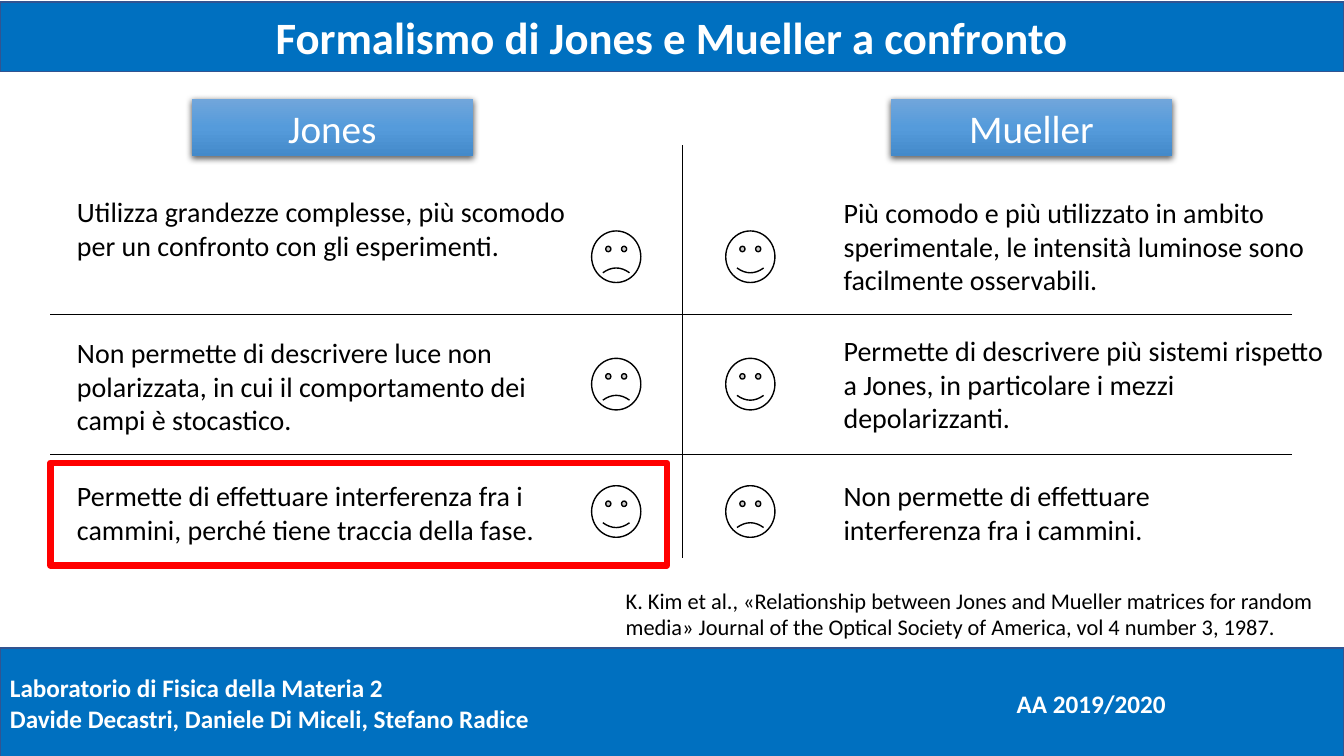
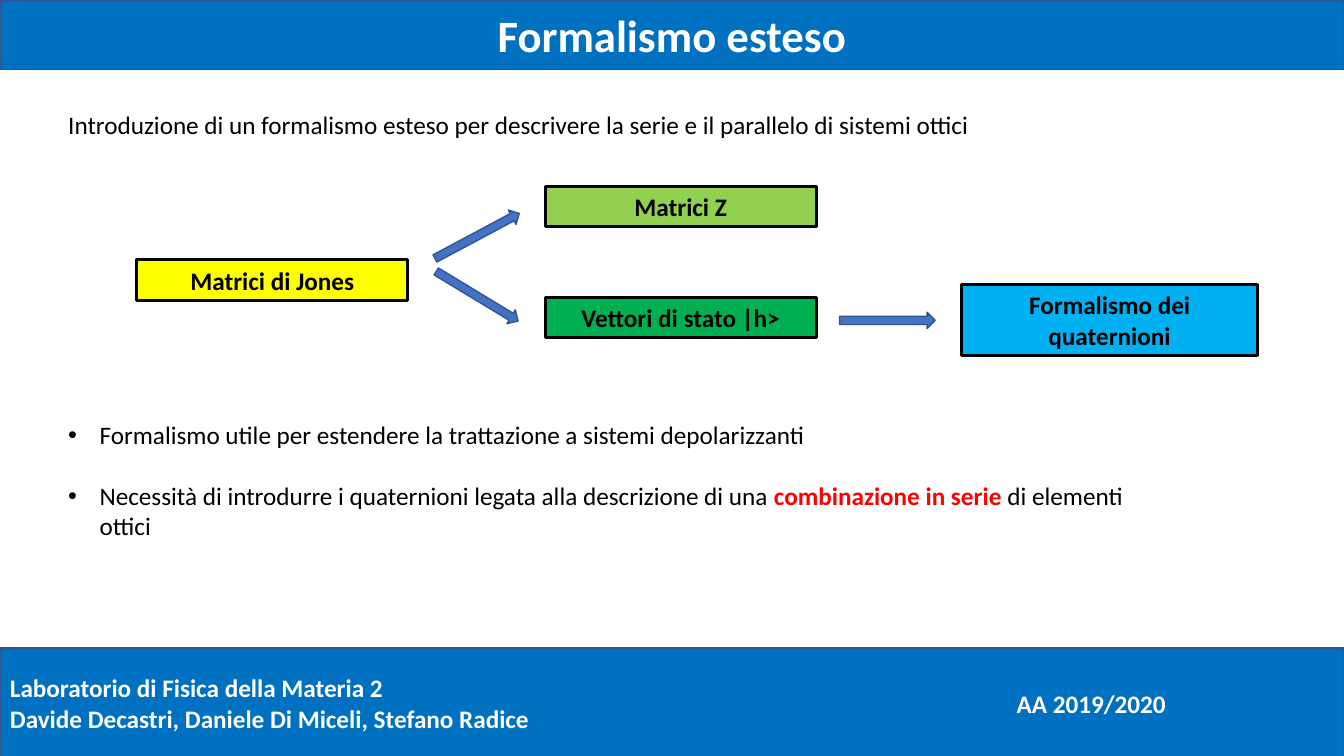
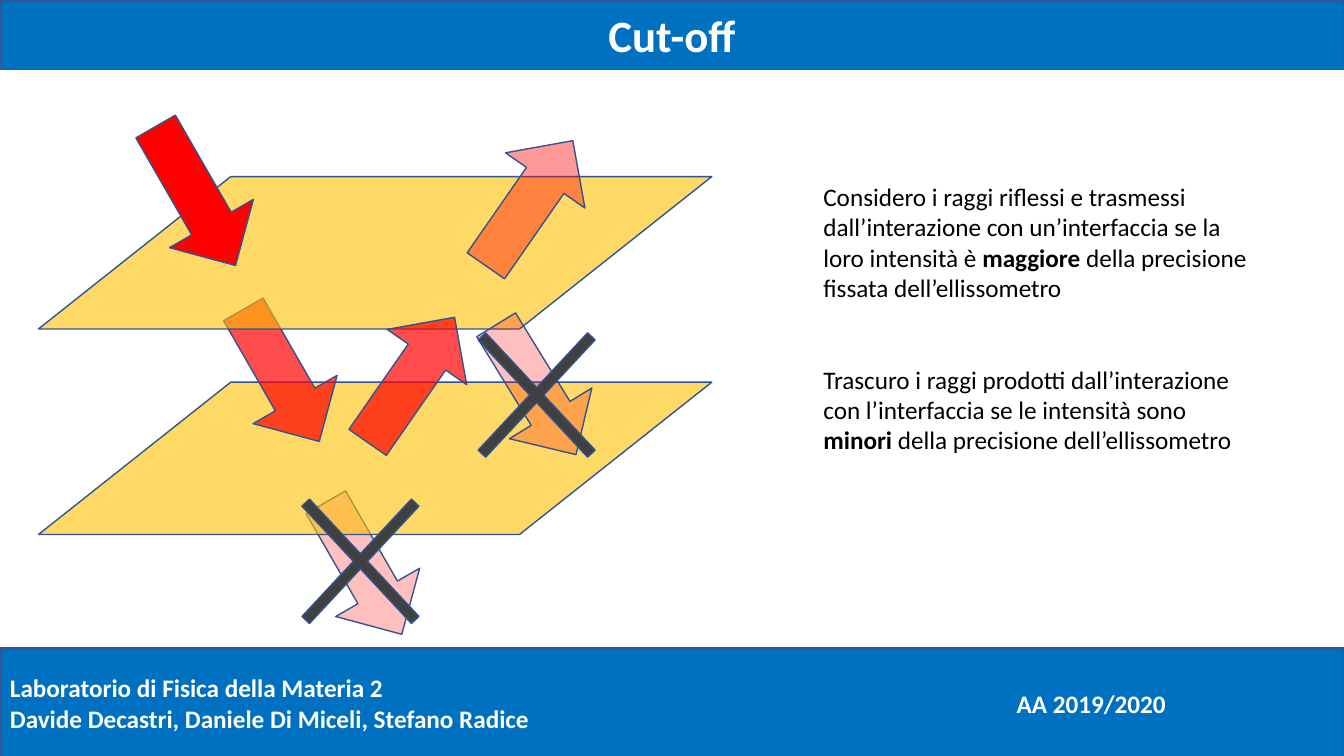
"""Build three slides comparing the Jones and Mueller formalisms."""
from copy import deepcopy

from lxml.etree import SubElement
from pptx import Presentation
from pptx.dml.color import RGBColor
from pptx.enum.shapes import MSO_CONNECTOR, MSO_SHAPE
from pptx.enum.text import MSO_ANCHOR, PP_ALIGN
from pptx.oxml.ns import qn
from pptx.util import Cm, Pt

FONT = "Calibri"
WHITE = RGBColor(0xFF, 0xFF, 0xFF)
BLACK = RGBColor(0x00, 0x00, 0x00)
BAND_BLUE = RGBColor(0x00, 0x70, 0xC0)
OUTLINE_BLUE = RGBColor(0x32, 0x54, 0x91)
ARROW_BLUE = RGBColor(0x44, 0x72, 0xC4)
SKY_BLUE = RGBColor(0x00, 0xB0, 0xF0)
YELLOW = RGBColor(0xFF, 0xFF, 0x00)
LIME = RGBColor(0x92, 0xD0, 0x50)
GREEN = RGBColor(0x00, 0xB0, 0x50)
RED = RGBColor(0xFF, 0x00, 0x00)
AMBER = RGBColor(0xFF, 0xC0, 0x00)
DARK_GREY = RGBColor(0x40, 0x40, 0x40)
HEADING_GRADIENT = (
    RGBColor(0x71, 0xA6, 0xDB),
    RGBColor(0x55, 0x9B, 0xDB),
    RGBColor(0x44, 0x8A, 0xCA),
)


def cm(lengths):
    return [Cm(length) for length in lengths]


def add_bullet(paragraph):
    properties = paragraph._p.get_or_add_pPr()
    properties.set("marL", str(Cm(0.79)))
    properties.set("indent", str(-Cm(0.79)))
    SubElement(properties, qn("a:buFont"), typeface="Arial")
    SubElement(properties, qn("a:buChar"), char="•")


def write_text(frame, *paragraphs, size=18, color=BLACK, bold=False,
               align=PP_ALIGN.LEFT, anchor=MSO_ANCHOR.TOP, bullets=False,
               gap=0, strong_color=None):
    """Write paragraphs; in each one, text between asterisks is strong."""
    frame.word_wrap = True
    frame.vertical_anchor = anchor
    for index, content in enumerate(paragraphs):
        paragraph = frame.add_paragraph() if index else frame.paragraphs[0]
        paragraph.alignment = align
        if index and gap:
            paragraph.space_before = Pt(gap)
        if bullets:
            add_bullet(paragraph)
        for part, words in enumerate(content.split("*")):
            strong = part % 2 == 1
            run = paragraph.add_run()
            run.text = words
            run.font.name = FONT
            run.font.size = Pt(size)
            run.font.bold = bold or strong
            run.font.color.rgb = strong_color if strong and strong_color else color


def add_text(slide, place, *paragraphs, **text_format):
    textbox = slide.shapes.add_textbox(*cm(place))
    write_text(textbox.text_frame, *paragraphs, **text_format)


def add_figure(slide, kind, place, fill=None, line=OUTLINE_BLUE, width=1,
               opacity=100, rotation=0, adjustment=None):
    figure = slide.shapes.add_shape(kind, *cm(place))
    figure.shadow.inherit = False
    figure.rotation = rotation
    if adjustment is not None:
        figure.adjustments[0] = adjustment
    if fill is None:
        figure.fill.background()
    else:
        figure.fill.solid()
        figure.fill.fore_color.rgb = fill
    if opacity < 100:
        tint = figure._element.spPr.find(qn("a:solidFill"))[0]
        SubElement(tint, qn("a:alpha"), val=str(opacity * 1000))
    if line is None:
        figure.line.fill.background()
    else:
        figure.line.color.rgb = line
        figure.line.width = Pt(width)
    return figure


def add_label(slide, place, text, fill):
    label = add_figure(slide, MSO_SHAPE.RECTANGLE, place, fill, BLACK, 2.25)
    write_text(label.text_frame, text, bold=True, align=PP_ALIGN.CENTER,
               anchor=MSO_ANCHOR.MIDDLE)


def add_heading(slide, left, text):
    heading = add_figure(slide, MSO_SHAPE.RECTANGLE, (left, 2.49, 7.09, 1.45), line=None)
    heading.fill.gradient()
    heading.fill.gradient_angle = 270
    properties = heading._element.spPr
    stops = properties.find(".//" + qn("a:gsLst"))
    stops.insert(1, deepcopy(stops[0]))
    for index, (stop, color) in enumerate(zip(heading.fill.gradient_stops, HEADING_GRADIENT)):
        stop.position = index / 2
        stop.color.rgb = color
    shadow = SubElement(properties.find(qn("a:effectLst")), qn("a:outerShdw"),
                        blurRad=str(Pt(4.5)), dist=str(Pt(1.5)), dir="5400000",
                        algn="ctr", rotWithShape="0")
    shade = SubElement(shadow, qn("a:srgbClr"), val=str(BLACK))
    SubElement(shade, qn("a:alpha"), val="63000")
    write_text(heading.text_frame, text, size=28, color=WHITE,
               align=PP_ALIGN.CENTER, anchor=MSO_ANCHOR.MIDDLE)


def add_rule(slide, *ends):
    rule = slide.shapes.add_connector(MSO_CONNECTOR.STRAIGHT, *cm(ends))
    rule.line.color.rgb = BLACK
    rule.line.width = Pt(0.5)
    SubElement(rule._element.spPr, qn("a:effectLst"))


def add_smiley(slide, left, top, happy):
    add_figure(slide, MSO_SHAPE.SMILEY_FACE, (left, top, 1.24, 1.3), WHITE, BLACK,
               adjustment=0.0465 if happy else -0.0465)


def add_plane(slide, top):
    add_figure(slide, MSO_SHAPE.PARALLELOGRAM, (0.97, top, 16.97, 3.84), AMBER,
               opacity=60, adjustment=1.262)


def add_ray(slide, left, top, opacity, rotation=330.1, length=3.84):
    add_figure(slide, MSO_SHAPE.DOWN_ARROW, (left, top, 2.44, length), RED,
               opacity=opacity, rotation=rotation, adjustment=0.47)


def add_cross(slide, left, top):
    add_figure(slide, MSO_SHAPE.MATH_MULTIPLY, (left, top, 5.31, 5.69), DARK_GREY,
               adjustment=0.049)


def add_slide(deck, title, title_top=0):
    slide = deck.slides.add_slide(deck.slide_layouts[6])
    footer = add_figure(slide, MSO_SHAPE.RECTANGLE, (0, 16.33, 33.87, 2.77), BAND_BLUE)
    band_format = {"color": WHITE, "bold": True, "anchor": MSO_ANCHOR.MIDDLE}
    write_text(footer.text_frame, "Laboratorio di Fisica della Materia 2",
               "Davide Decastri, Daniele Di Miceli, Stefano Radice", **band_format)
    add_text(slide, (25.37, 17.22, 4.32, 1.02), "AA 2019/2020", **band_format)
    band = add_figure(slide, MSO_SHAPE.RECTANGLE, (0, title_top, 33.87, 1.75), BAND_BLUE)
    write_text(band.text_frame, title, size=32, align=PP_ALIGN.CENTER, **band_format)
    return slide


def build_comparison(deck):
    slide = add_slide(deck, "Formalismo di Jones e Mueller a confronto", title_top=0.05)
    add_heading(slide, 4.83, "Jones")
    add_heading(slide, 22.45, "Mueller")
    add_rule(slide, 17.2, 3.66, 17.2, 14.05)
    for height in (7.92, 11.46):
        add_rule(slide, 1.27, height, 32.55, height)

    jones = (
        (4.78, 1.96, "Utilizza grandezze complesse, più scomodo per un confronto con gli esperimenti."),
        (8.33, 2.82, "Non permette di descrivere luce non polarizzata, in cui il comportamento dei campi è stocastico."),
        (11.94, 1.96, "Permette di effettuare interferenza fra i cammini, perché tiene traccia della fase."),
    )
    mueller = (
        (4.8, 12.6, 2.82, "Più comodo e più utilizzato in ambito sperimentale, le intensità luminose sono facilmente osservabili."),
        (8.28, 12.6, 2.82, "Permette di descrivere più sistemi rispetto a Jones, in particolare i mezzi depolarizzanti."),
        (11.94, 10.59, 1.96, "Non permette di effettuare interferenza fra i cammini."),
    )
    for top, height, text in jones:
        add_text(slide, (1.69, top, 12.88, height), text, size=20)
    for top, width, height, text in mueller:
        add_text(slide, (21.01, top, width, height), text, size=20)
    for row, jones_wins in enumerate((False, False, True)):
        top = 5.82 + 3.21 * row
        add_smiley(slide, 14.91, top, jones_wins)
        add_smiley(slide, 18.29, top, not jones_wins)

    add_figure(slide, MSO_SHAPE.RECTANGLE, (1.27, 11.66, 15.54, 2.59), line=RED, width=4.5)
    add_text(slide, (15.52, 14.66, 18.06, 1.63),
             "K. Kim et al., «Relationship between Jones and Mueller matrices for random "
             "media» Journal of the Optical Society of America, vol 4 number 3, 1987.", size=16)


def build_extension(deck):
    slide = add_slide(deck, "Formalismo esteso")
    add_text(slide, (1.47, 2.64, 31.62, 1.02),
             "Introduzione di un formalismo esteso per descrivere la serie e il parallelo di sistemi ottici")
    add_label(slide, (3.45, 6.55, 6.83, 1.02), "Matrici di Jones", YELLOW)
    add_label(slide, (13.74, 7.49, 6.83, 1.02), "Vettori di stato |h>", GREEN)
    add_label(slide, (13.74, 4.7, 6.83, 1.02), "Matrici Z", LIME)
    add_label(slide, (24.23, 7.16, 7.47, 1.8), "Formalismo dei quaternioni", SKY_BLUE)
    for left, top, rotation in ((10.82, 5.74, 331.9), (10.82, 7.26, 31.2), (21.16, 7.87, 0)):
        add_figure(slide, MSO_SHAPE.RIGHT_ARROW, (left, top, 2.41, 0.41), ARROW_BLUE,
                   rotation=rotation)
    add_text(slide, (1.47, 10.44, 28.22, 3.33),
             "Formalismo utile per estendere la trattazione a sistemi depolarizzanti",
             "Necessità di introdurre i quaternioni legata alla descrizione di una "
             "*combinazione in serie* di elementi ottici",
             bullets=True, gap=22, strong_color=RED)


def build_cutoff(deck):
    slide = add_slide(deck, "Cut-off")
    add_ray(slide, 7.95, 12.4, 25)
    add_plane(slide, 9.63)
    add_ray(slide, 5.87, 7.54, 70)
    add_plane(slide, 4.45)
    add_ray(slide, 3.71, 2.92, 100, length=4.04)
    add_cross(slide, 6.43, 11.3)
    add_ray(slide, 12.29, 7.9, 25, rotation=328.4)
    add_ray(slide, 9.14, 7.65, 70, rotation=214.8)
    add_cross(slide, 10.87, 7.11)
    add_ray(slide, 12.12, 3.2, 40, rotation=214.8)
    add_text(slide, (20.5, 4.45, 11.51, 7.95),
             "Considero i raggi riflessi e trasmessi dall’interazione con un’interfaccia se la "
             "loro intensità è *maggiore* della precisione fissata dell’ellissometro",
             "Trascuro i raggi prodotti dall’interazione con l’interfaccia se le intensità sono "
             "*minori* della precisione dell’ellissometro", gap=44)


def main():
    deck = Presentation()
    deck.slide_width, deck.slide_height = cm((33.87, 19.05))
    build_comparison(deck)
    build_extension(deck)
    build_cutoff(deck)
    deck.save("out.pptx")


if __name__ == "__main__":
    main()
